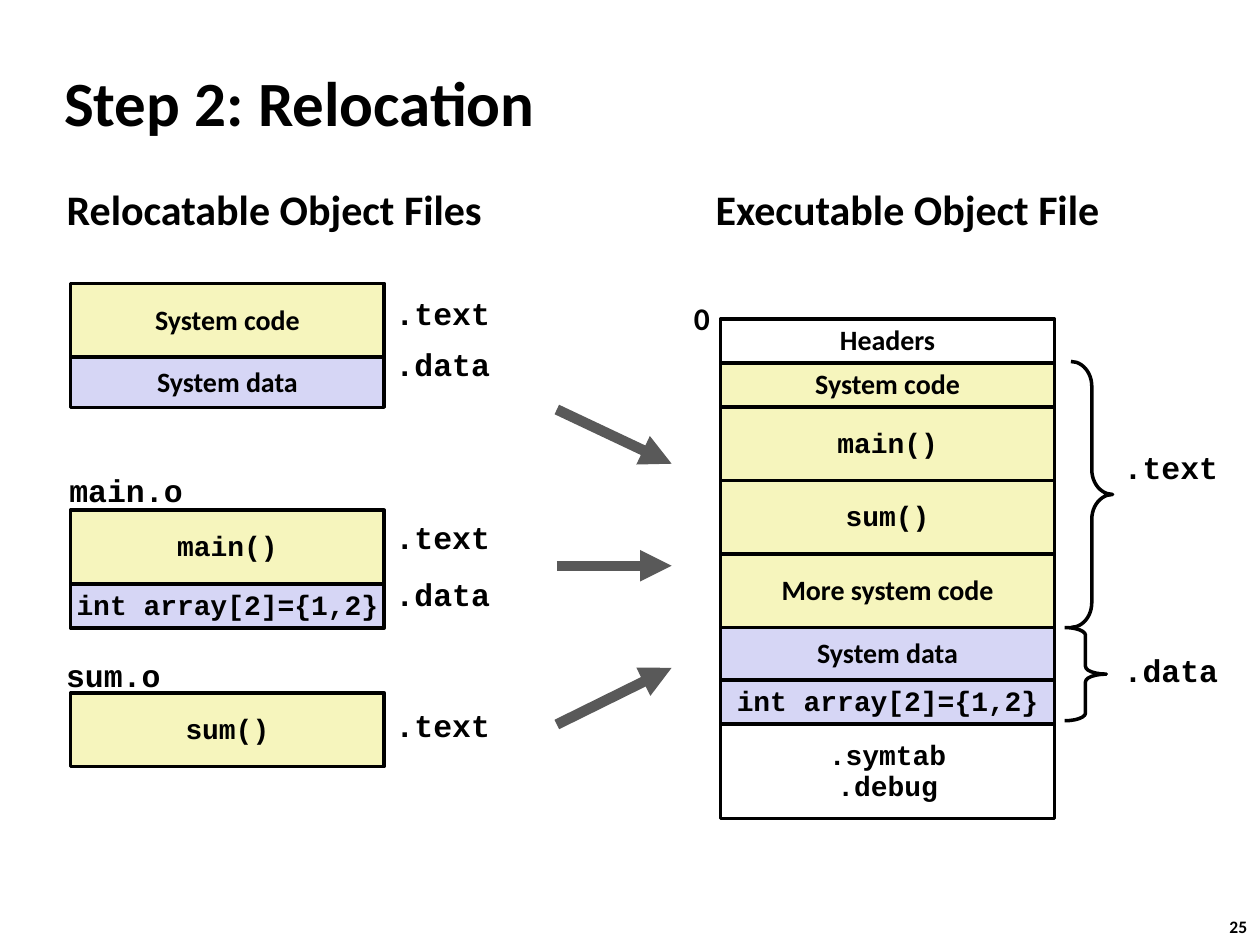
import pptx
import pptx.util
import pptx.dml.color
import pptx.enum.shapes
import pptx.enum.text
import pptx.oxml.ns
from lxml import etree

Pt = pptx.util.Pt
SHAPES = pptx.enum.shapes.MSO_SHAPE
ALIGN = pptx.enum.text.PP_ALIGN
ANCHOR = pptx.enum.text.MSO_ANCHOR

COLORS = {
    "ink": "000000",
    "code": "F6F5BD",
    "data": "D6D6F5",
    "plain": "FFFFFF",
    "arrow": "595959",
}
SANS, MONO = "Calibri", "Courier New"
LINE_SPACING = {SANS: 0.98, MONO: 0.94}

# Sections shared by the files: text, font, fill, height
SYSTEM_CODE = ("System code", SANS, "code", 42)
SYSTEM_DATA = ("System data", SANS, "data", 28.8)
MAIN = ("main()", MONO, "code", 42)
SUM = ("sum()", MONO, "code", 42)
ARRAY = ("int array[2]={1,2}", MONO, "data", 25.2)

# Left column: top and sections of each object file
OBJECT_FILES = [
    (162, [SYSTEM_CODE, SYSTEM_DATA]),
    (291.6, [MAIN, ARRAY]),
    (396, [SUM]),
]
EXECUTABLE = [
    ("Headers", SANS, "plain", 25.2),
    ("System code", SANS, "code", 25.2),
    MAIN,
    SUM,
    ("More system code", SANS, "code", 42),
    ("System data", SANS, "data", 30),
    ARRAY,
    (".symtab\n.debug", MONO, "plain", 54),
]

# Section labels: text, left, top
SECTION_LABELS = [
    (".text", 218.9, 166.3),
    (".data", 218.9, 195.1),
    (".text", 218.9, 294.5),
    (".data", 218.9, 326.9),
    (".text", 218.9, 401.8),
    (".text", 635, 254.2),
    (".data", 635, 370.1),
]
# Braces: left, top, height, curl
BRACES = [(612, 206.6, 152, 0.598), (608.4, 358.6, 53.3, 0.185)]
# Arrows: start height, end height
ARROWS = [(234, 265), (323.3, 323.3), (414, 381.6)]


def color(name):
    return pptx.dml.color.RGBColor.from_string(COLORS[name])


def write(frame, text, font, size, align=ALIGN.LEFT):
    frame.word_wrap = False
    for index, line in enumerate(text.split("\n")):
        paragraph = frame.paragraphs[0] if index == 0 else frame.add_paragraph()
        paragraph.alignment = align
        paragraph.line_spacing = LINE_SPACING[font]
        run = paragraph.add_run()
        run.text = line
        run.font.name = font
        run.font.size = Pt(size)
        run.font.bold = True
        run.font.color.rgb = color("ink")


def add_label(slide, text, left, top, width, height, font=MONO, size=18, align=ALIGN.LEFT):
    box = slide.shapes.add_textbox(Pt(left), Pt(top), Pt(width), Pt(height))
    write(box.text_frame, text, font, size, align)
    return box


def add_outlined(slide, kind, left, top, width, height):
    shape = slide.shapes.add_shape(kind, Pt(left), Pt(top), Pt(width), Pt(height))
    shape.shadow.inherit = False
    shape.line.color.rgb = color("ink")
    shape.line.width = Pt(2)
    return shape


def add_stack(slide, left, top, width, sections):
    for text, font, fill, height in sections:
        shape = add_outlined(slide, SHAPES.RECTANGLE, left, top, width, height)
        shape.fill.solid()
        shape.fill.fore_color.rgb = color(fill)
        shape.text_frame.vertical_anchor = ANCHOR.MIDDLE
        write(shape.text_frame, text, font, 16, ALIGN.CENTER)
        top += height


def add_brace(slide, left, top, height, curl):
    brace = add_outlined(slide, SHAPES.RIGHT_BRACE, left, top, 23.8, height)
    brace.fill.background()
    brace.adjustments[0] = curl
    brace.adjustments[1] = 0.5


def add_arrow(slide, start, end):
    arrow = slide.shapes.add_connector(
        pptx.enum.shapes.MSO_CONNECTOR.STRAIGHT, Pt(318.2), Pt(start), Pt(383.8), Pt(end))
    arrow.line.color.rgb = color("arrow")
    arrow.line.width = Pt(6)
    qn = pptx.oxml.ns.qn
    etree.SubElement(arrow.line._get_or_add_ln(), qn("a:tailEnd"), type="triangle")
    etree.SubElement(arrow._element.spPr, qn("a:effectLst"))


def main():
    presentation = pptx.Presentation()
    presentation.slide_width, presentation.slide_height = Pt(720), Pt(540)
    slide = presentation.slides.add_slide(presentation.slide_layouts[6])

    # Title, column headings and slide number
    title = add_label(slide, "Step 2: Relocation", 29.5, 36.7, 598.3, 45.4, SANS, 36)
    title.text_frame.vertical_anchor = ANCHOR.MIDDLE
    title.text_frame.word_wrap = True
    add_label(slide, "Relocatable Object Files", 31, 103, 254.2, 36, SANS, 24)
    add_label(slide, "Executable Object File", 401.8, 103, 236.2, 36, SANS, 24)
    add_label(slide, "25", 695.5, 520.6, 26.6, 19.4, SANS, 10)

    # Object files and the executable
    for top, sections in OBJECT_FILES:
        add_stack(slide, 40.3, top, 179.3, sections)
    add_stack(slide, 411.8, 182.2, 190.8, EXECUTABLE)

    # File names, start address and section labels
    add_label(slide, "main.o", 32.4, 267.1, 79.2, 28, align=ALIGN.CENTER)
    add_label(slide, "sum.o", 30.2, 373, 69.1, 28, align=ALIGN.CENTER)
    add_label(slide, "0", 389.5, 168.5, 24.5, 28.8, SANS)
    for text, left, top in SECTION_LABELS:
        add_label(slide, text, left, top, 68.4, 28)

    # Braces and arrows
    for brace in BRACES:
        add_brace(slide, *brace)
    for start, end in ARROWS:
        add_arrow(slide, start, end)

    presentation.save("out.pptx")


if __name__ == "__main__":
    main()
